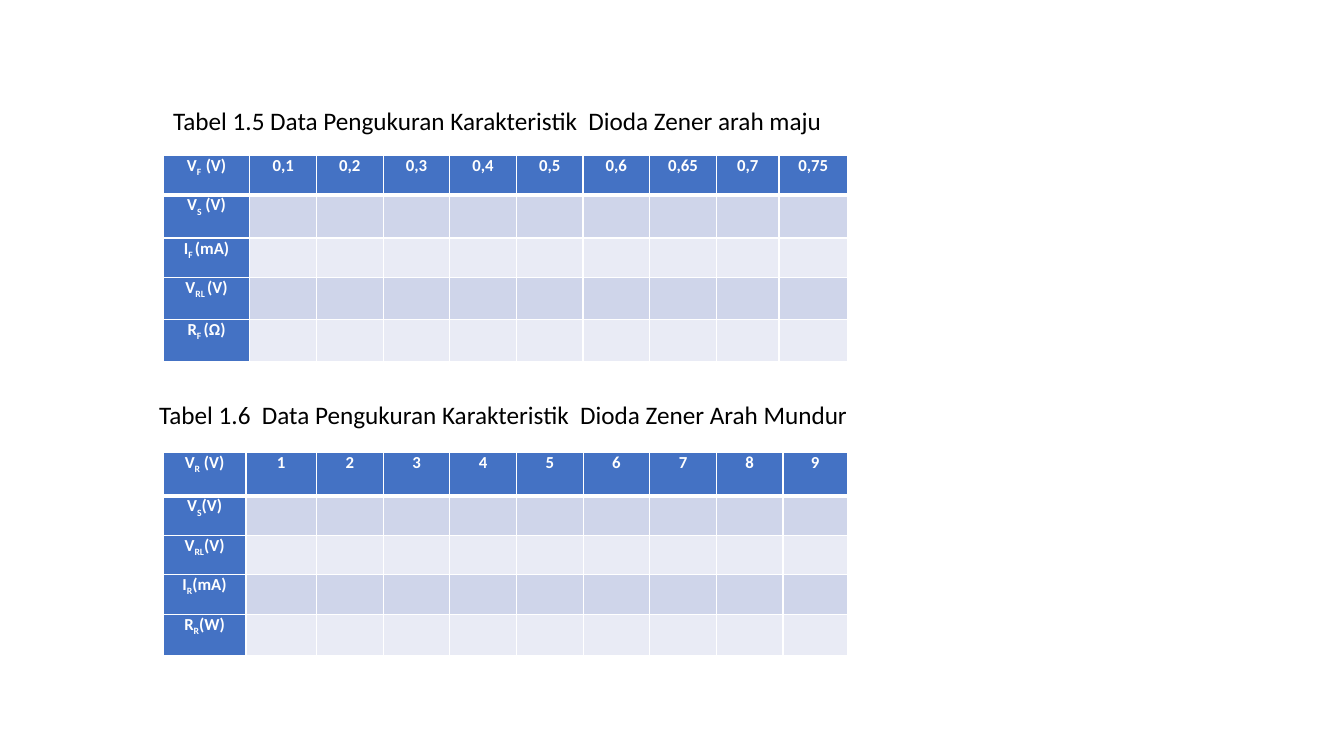
from lxml.etree import SubElement
from pptx import Presentation
from pptx.dml.color import RGBColor
from pptx.enum.text import PP_ALIGN
from pptx.oxml.ns import qn
from pptx.util import Pt


def color(hex_value):
    return RGBColor.from_string(hex_value)


def set_borders(cell, bottom, top):
    tcPr = cell._tc.get_or_add_tcPr()
    for side, width in (("L", 1), ("R", 1), ("T", top), ("B", bottom)):
        ln = SubElement(tcPr, qn("a:ln" + side), w=str(Pt(width)))
        fill = SubElement(ln, qn("a:solidFill"))
        SubElement(fill, qn("a:srgbClr"), val="FFFFFF")


prs = Presentation()
prs.slide_width, prs.slide_height = Pt(960), Pt(540)
s = prs.slides.add_slide(prs.slide_layouts[6])

# Captions: text, left, top, width
captions = [
    ("Tabel 1.5 Data Pengukuran Karakteristik  Dioda Zener arah maju", 116.6, 72, 549.4),
    ("Tabel 1.6  Data Pengukuran Karakteristik  Dioda Zener Arah Mundur", 106.6, 281.5, 532),
]
for text, left, top, width in captions:
    tf = s.shapes.add_textbox(Pt(left), Pt(top), Pt(width), Pt(29)).text_frame
    tf.word_wrap = True
    r = tf.paragraphs[0].add_run()
    r.text = text
    r.font.name, r.font.size = "Calibri", Pt(18)
    r.font.color.rgb = color("000000")

# Tables: top, column widths, row heights, header values,
# row labels as (symbol, subscript, unit)
tables = [
    (110.9, [61.9] + [47.6] * 7 + [44.9, 48.9], [28.4, 30.8, 28.1, 29.9, 30.2],
     ["0,1", "0,2", "0,3", "0,4", "0,5", "0,6", "0,65", "0,7", "0,75"],
     [("V", "F  ", "(V)"), ("V", "S", " (V)"), ("I", "F ", "(mA)"),
      ("V", "RL ", "(V)"), ("R", "F ", "(Ω)")]),
    (323.3, [59.1, 50.5] + [47.6] * 7 + [46], [31, 28, 28, 28.9, 28.9],
     [str(n) for n in range(1, 10)],
     [("V", "R", " (V)"), ("V", "S", "(V)"), ("V", "RL", "(V)"),
      ("I", "R", "(mA)"), ("R", "R", "(W)")]),
]
for top, widths, heights, values, labels in tables:
    table = s.shapes.add_table(len(heights), len(widths), Pt(116.6), Pt(top),
                               Pt(sum(widths)), Pt(sum(heights))).table
    table.first_col = True
    for column, width in zip(table.columns, widths):
        column.width = Pt(width)
    for i, height in enumerate(heights):
        table.rows[i].height = Pt(height)
        for j in range(len(widths)):
            cell = table.cell(i, j)
            cell.margin_left = cell.margin_right = Pt(5)
            cell.margin_top = cell.margin_bottom = 0
            set_borders(cell, bottom=3 if i == 0 else 1, top=3 if i == 1 else 1)
            cell.fill.solid()
            if i == 0 or j == 0:
                fill = "4472C4"
            else:
                fill = "CFD5EA" if i % 2 else "E9EBF5"
            cell.fill.fore_color.rgb = color(fill)

            # Cell text: label parts in the first column, values in the header
            if j == 0:
                parts = labels[i]
            else:
                parts = [values[j - 1]] if i == 0 else []
            p = cell.text_frame.paragraphs[0]
            p.alignment = PP_ALIGN.CENTER
            for k, part in enumerate(parts):
                r = p.add_run()
                r.text = part
                r.font.name, r.font.size, r.font.bold = "Calibri", Pt(12), True
                r.font.color.rgb = color("FFFFFF")
                if k == 1:
                    r.font._element.set("baseline", "-25000")

prs.save("out.pptx")
